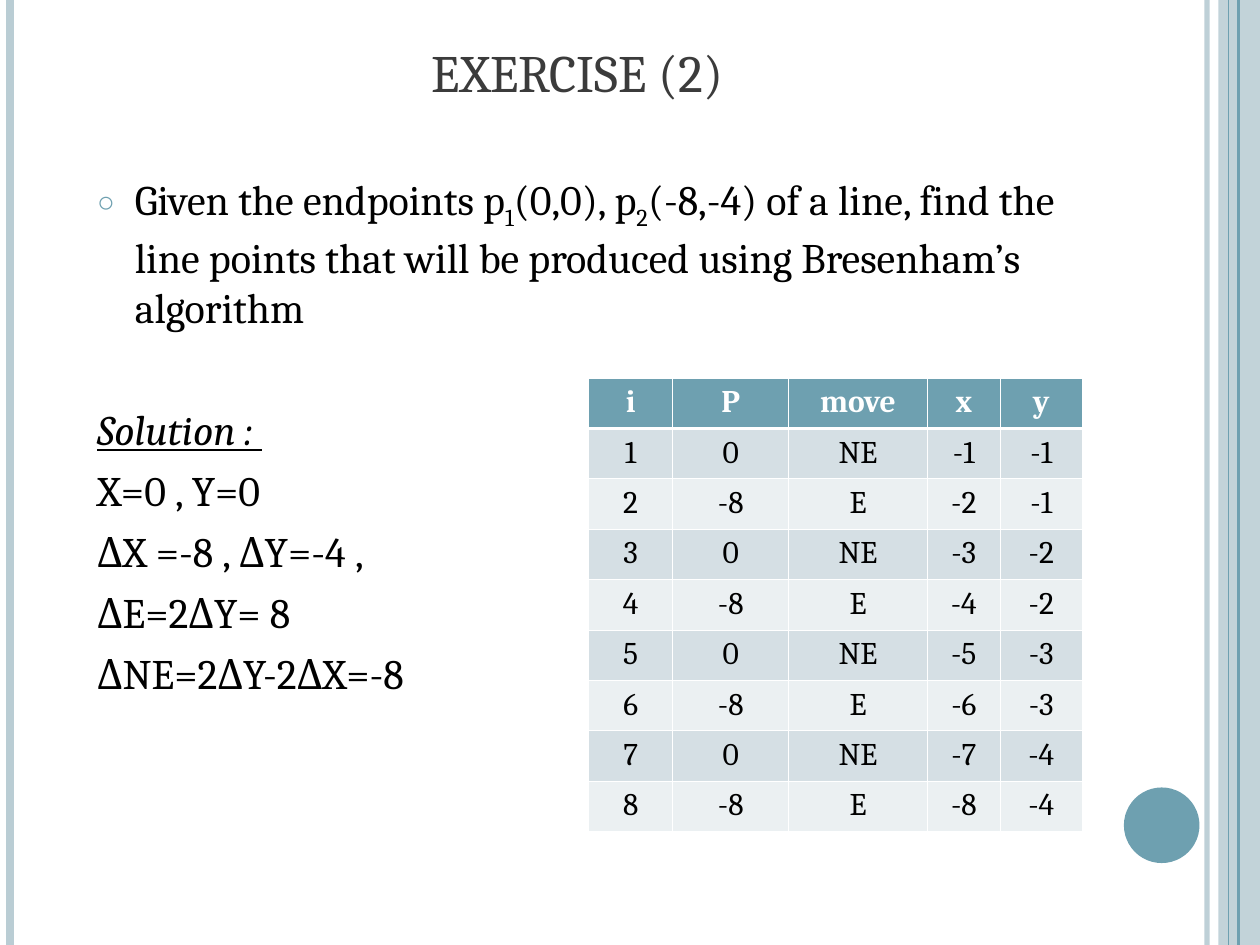
from lxml import etree
from pptx import Presentation
from pptx import util as u
from pptx.dml.color import RGBColor
from pptx.enum import shapes, text
from pptx.oxml.ns import qn

FONT = "Cambria"
COLORS = {"pale": "BACDD4", "teal": "6EA0B0", "title": "3B3B3B", "text": "000000",
          "white": "FFFFFF", "band_dark": "D5DFE4", "band_light": "EBF0F2"}
SLIDE_W, SLIDE_H = 10, 7.5

# x, colour, width in points, opacity in percent
VERTICAL_RULES = [(9.58, "pale", 3, 93), (0.08, "pale", 4.5, 100),
                  (9.83, "teal", 1.5, 100), (9.75, "teal", 0.75, 100)]
QUESTION = [("Given the endpoints p", False), ("1", True), ("(0,0), p", False), ("2", True),
            ("(-8,-4) of a line, find the line points that will be produced "
             "using Bresenham’s algorithm", False)]
SOLUTION = ["X=0 , Y=0", "ΔX =-8 , ΔY=-4 ,", "ΔE=2ΔY= 8", "ΔNE=2ΔY-2ΔX=-8"]
COL_WIDTHS = [0.67, 0.92, 1.1, 0.58, 0.65]
ROW_H = 0.4
STEPS = [("i", "P", "move", "x", "y"),
         ("1", "0", "NE", "-1", "-1"),
         ("2", "-8", "E", "-2", "-1"),
         ("3", "0", "NE", "-3", "-2"),
         ("4", "-8", "E", "-4", "-2"),
         ("5", "0", "NE", "-5", "-3"),
         ("6", "-8", "E", "-6", "-3"),
         ("7", "0", "NE", "-7", "-4"),
         ("8", "-8", "E", "-8", "-4")]


def rgb(name):
    return RGBColor.from_string(COLORS[name])


def sub(parent, tag, **attrs):
    return etree.SubElement(parent, qn(tag), attrs)


def set_opacity(sp, percent):
    """Apply an opacity to every solid colour of a shape or line."""
    for clr in sp._element.spPr.iter(qn("a:srgbClr")):
        sub(clr, "a:alpha", val=str(percent * 1000))


def place(sp, left, top, width, height):
    sp.left, sp.top = u.Inches(left), u.Inches(top)
    sp.width, sp.height = u.Inches(width), u.Inches(height)


def add_run(p, content, size, color="text", bold=False):
    r = p.add_run()
    r.text = content
    r.font.name, r.font.size, r.font.bold = FONT, u.Pt(size), bold
    r.font.color.rgb = rgb(color)
    return r


def add_rule(s, x, color, width, opacity):
    line = s.shapes.add_connector(shapes.MSO_CONNECTOR.STRAIGHT, u.Inches(x), 0,
                                  u.Inches(x), u.Inches(SLIDE_H))
    line.line.color.rgb = rgb(color)
    line.line.width = u.Pt(width)
    if opacity < 100:
        set_opacity(line, opacity)
    sub(line._element.spPr, "a:effectLst")


def add_plain_shape(s, kind, color, left, top, width, height):
    sp = s.shapes.add_shape(kind, *map(u.Inches, (left, top, width, height)))
    sp.shadow.inherit = False
    sp.fill.solid()
    sp.fill.fore_color.rgb = rgb(color)
    sp.line.fill.background()
    return sp


def add_decoration(s):
    side_band = add_plain_shape(s, shapes.MSO_SHAPE.RECTANGLE, "pale",
                                9.67, 0, SLIDE_W - 9.67, SLIDE_H)
    set_opacity(side_band, 87)
    for rule in VERTICAL_RULES:
        add_rule(s, *rule)
    add_plain_shape(s, shapes.MSO_SHAPE.OVAL, "teal", 8.92, 6.25, 0.6, 0.6)


def fill_title(title):
    place(title, 0.5, 0, 8.17, 0.87)
    tf = title.text_frame
    tf.auto_size = text.MSO_AUTO_SIZE.NONE
    tf.vertical_anchor = text.MSO_ANCHOR.BOTTOM
    p = tf.paragraphs[0]
    p.alignment = text.PP_ALIGN.CENTER
    add_run(p, "EXERCISE (2)", 30, "title")


def format_paragraph(p, space_before, bullet=None):
    """Give a hanging indent, and a ring bullet or none."""
    pPr = p._p.get_or_add_pPr()
    indent = u.Inches(0.3)
    pPr.set("marL", str(indent))
    pPr.set("indent", str(-indent))
    if bullet:
        sub(sub(pPr, "a:buClr"), "a:srgbClr", val=COLORS["teal"])
        sub(pPr, "a:buSzPct", val="70000")
        sub(pPr, "a:buChar", char=bullet)
    else:
        sub(pPr, "a:buNone")
    p.space_before = u.Pt(space_before)


def fill_body(body):
    place(body, 0.67, 1.33, 8.17, 5.33)
    tf = body.text_frame
    tf.auto_size = text.MSO_AUTO_SIZE.NONE
    tf.vertical_anchor = text.MSO_ANCHOR.TOP

    p = tf.paragraphs[0]
    format_paragraph(p, 0, "○")
    for content, is_subscript in QUESTION:
        r = add_run(p, content, 24)
        if is_subscript:
            r._r.get_or_add_rPr().set("baseline", "-25000")

    p = tf.add_paragraph()
    format_paragraph(p, 41)
    r = add_run(p, "Solution : ", 24)
    r.font.italic = r.font.underline = True

    for content in SOLUTION:
        p = tf.add_paragraph()
        format_paragraph(p, 6)
        add_run(p, content, 24)


def set_borders(cell, top, bottom):
    tcPr = cell._tc.get_or_add_tcPr()
    sides = [("a:lnL", 0.45), ("a:lnR", 0.45), ("a:lnT", top), ("a:lnB", bottom)]
    for i, (tag, width) in enumerate(sides):
        ln = etree.Element(qn(tag), w=str(u.Pt(width)))
        sub(sub(ln, "a:solidFill"), "a:srgbClr", val=COLORS["white"])
        tcPr.insert(i, ln)


def add_steps_table(s):
    frame = s.shapes.add_table(len(STEPS), len(COL_WIDTHS), u.Inches(4.67), u.Inches(3),
                               u.Inches(sum(COL_WIDTHS)), u.Inches(ROW_H * len(STEPS)))
    table = frame.table
    table.horz_banding = False
    for column, width in zip(table.columns, COL_WIDTHS):
        column.width = u.Inches(width)
    for i, values in enumerate(STEPS):
        table.rows[i].height = u.Inches(ROW_H)
        header = i == 0
        fill = "teal" if header else "band_dark" if i % 2 else "band_light"
        for j, value in enumerate(values):
            cell = table.cell(i, j)
            cell.fill.solid()
            cell.fill.fore_color.rgb = rgb(fill)
            set_borders(cell, 1.47 if i == 1 else 0.45, 1.47 if header else 0.45)
            p = cell.text_frame.paragraphs[0]
            p.alignment = text.PP_ALIGN.CENTER
            add_run(p, value, 18, "white" if header else "text", header)


def main():
    prs = Presentation()
    prs.slide_width, prs.slide_height = u.Inches(SLIDE_W), u.Inches(SLIDE_H)
    s = prs.slides.add_slide(prs.slide_layouts[1])
    add_decoration(s)
    fill_title(s.shapes.title)
    fill_body(s.placeholders[1])
    add_steps_table(s)
    prs.save("out.pptx")


if __name__ == "__main__":
    main()
